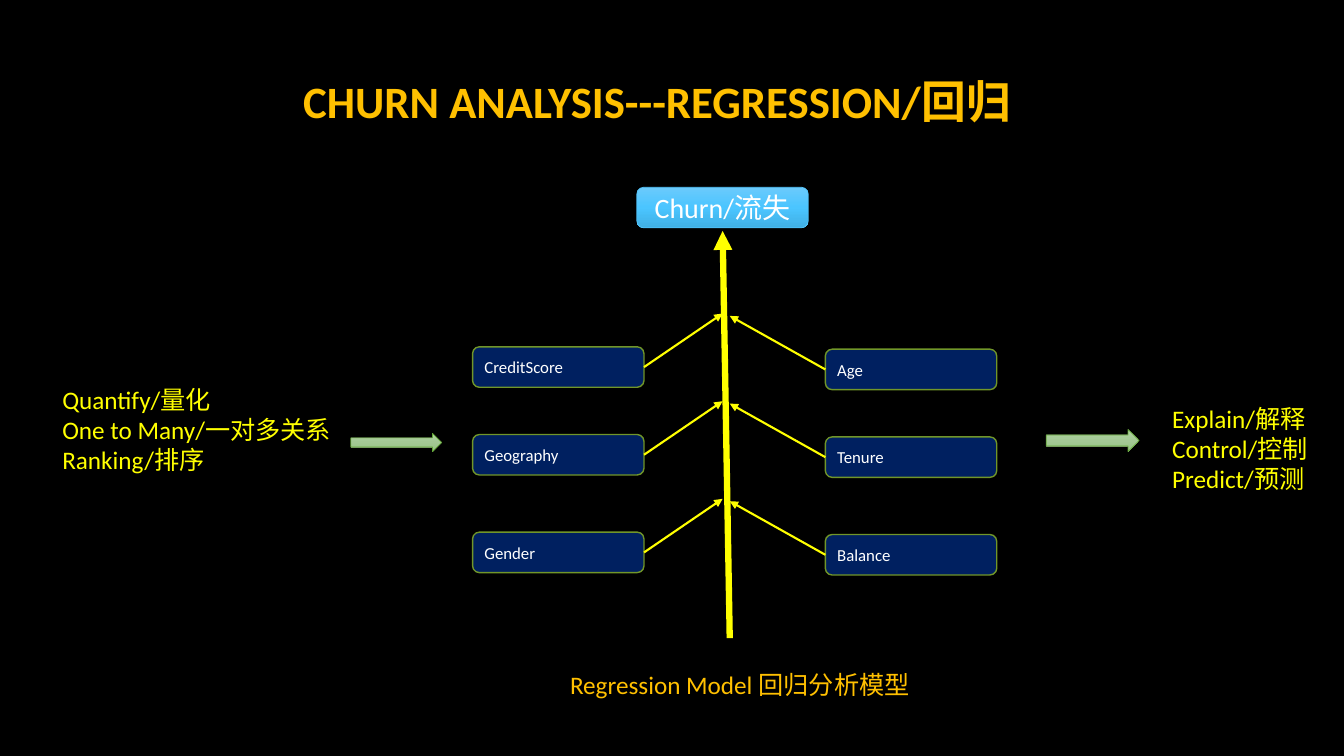
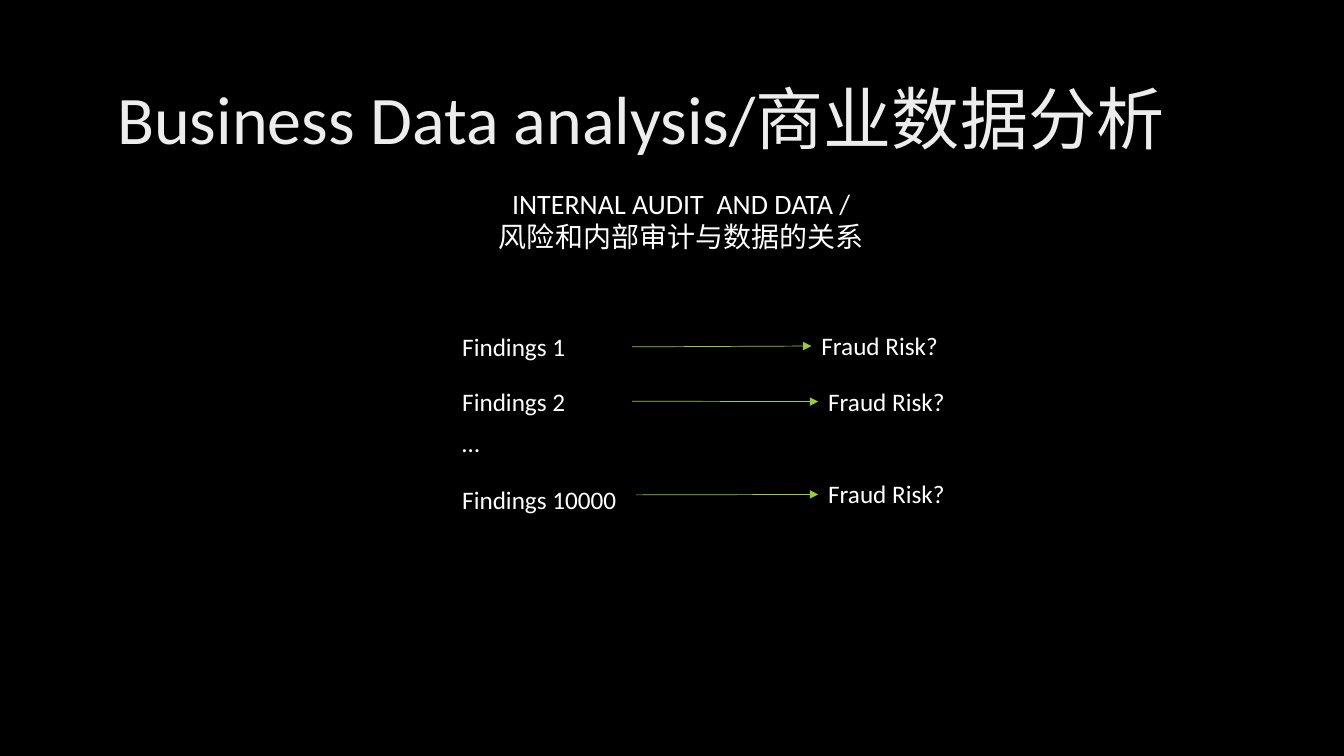
from copy import deepcopy

from lxml.etree import SubElement
from pptx import Presentation
from pptx.dml.color import RGBColor
from pptx.enum.shapes import MSO_CONNECTOR as CONN, MSO_SHAPE as SHAPE
from pptx.enum.text import MSO_ANCHOR as ANCHOR, MSO_AUTO_SIZE as FIT, PP_ALIGN as ALIGN
from pptx.oxml.ns import qn
from pptx.util import Cm, Pt

FONT = "Calibri"
BLACK = RGBColor(0x00, 0x00, 0x00)
WHITE = RGBColor(0xFF, 0xFF, 0xFF)
SILVER = RGBColor(0xED, 0xED, 0xED)
AMBER = RGBColor(0xFF, 0xC0, 0x00)
YELLOW = RGBColor(0xFF, 0xFF, 0x00)
NAVY = RGBColor(0x00, 0x20, 0x60)
OLIVE = RGBColor(0x71, 0x96, 0x29)
LIME = RGBColor(0x99, 0xCB, 0x38)
SKY = RGBColor(0x51, 0xC3, 0xF9)
LEAF = RGBColor(0x63, 0xA5, 0x37)
SKY_FADE = [RGBColor(0x6B, 0xCA, 0xFC), RGBColor(0x4B, 0xC5, 0xFF), RGBColor(0x40, 0xB0, 0xE5)]
LEAF_FADE = [RGBColor(0xB0, 0xD3, 0xA2), RGBColor(0xA4, 0xC9, 0x95), RGBColor(0x95, 0xC4, 0x82)]

BOX_W, BOX_H = 4.32, 1.02
FINDING_W, FINDING_H = 4.52, 1.02


def write(sp, lines, size, color, align=ALIGN.LEFT, anchor=ANCHOR.MIDDLE, bold=False):
    tf = sp.text_frame
    tf.word_wrap = True
    tf.auto_size = FIT.NONE
    tf.vertical_anchor = anchor
    tf.text = "\n".join(lines)
    for p in tf.paragraphs:
        p.alignment = align
        for r in p.runs:
            r.font.name = FONT
            r.font.size = Pt(size)
            r.font.bold = bold
            r.font.color.rgb = color


def add_title_slide(prs, text, box, size, color, bold=False):
    slide = prs.slides.add_slide(prs.slide_layouts[5])
    title = slide.shapes.title
    title.left, title.top, title.width, title.height = map(Cm, box)
    write(title, [text], size, color, ALIGN.CENTER, bold=bold)
    return slide


def add_text(slide, box, lines, size, color, align=ALIGN.LEFT, anchor=ANCHOR.TOP):
    sp = slide.shapes.add_textbox(*map(Cm, box))
    write(sp, lines, size, color, align, anchor)


def fade(sp, colors):
    fill = sp.fill
    fill.gradient()
    fill.gradient_angle = 270
    stops = sp._element.spPr.find(qn("a:gradFill")).find(qn("a:gsLst"))
    stops.insert(1, deepcopy(stops[0]))
    for i, (stop, color) in enumerate(zip(fill.gradient_stops, colors)):
        stop.position = i / 2
        stop.color.rgb = color


def add_shape(slide, kind, box, line, width):
    sp = slide.shapes.add_shape(kind, *map(Cm, box))
    sp.shadow.inherit = False
    sp.line.color.rgb = line
    sp.line.width = Pt(width)
    return sp


def add_factor(slide, left, top, text):
    sp = add_shape(slide, SHAPE.ROUNDED_RECTANGLE, (left, top, BOX_W, BOX_H), OLIVE, 1)
    sp.fill.solid()
    sp.fill.fore_color.rgb = NAVY
    write(sp, [text], 12, WHITE)


def add_arrow(slide, start, end, color, width):
    line = slide.shapes.add_connector(CONN.STRAIGHT, *map(Cm, (*start, *end)))
    line.line.color.rgb = color
    line.line.width = Pt(width)
    SubElement(line.line._get_or_add_ln(), qn("a:tailEnd"), type="triangle")
    SubElement(line._element.spPr, qn("a:effectLst"))


def build_regression(prs):
    slide = add_title_slide(prs, "CHURN ANALYSIS---REGRESSION/回归",
                            (7.04, 1.54, 19.05, 2), 32, AMBER, bold=True)
    add_text(slide, (12.17, 16.74, 12.95, 1.02), ["Regression Model 回归分析模型"],
             18, AMBER, ALIGN.CENTER)

    spine_top, spine_foot = 18.21, 18.39
    add_arrow(slide, (spine_foot, 16.08), (spine_top, 5.82), YELLOW, 4.5)
    left, right = 11.91, 20.8
    rows = [(8.74, "CreditScore", "Age"), (10.95, "Geography", "Tenure"),
            (13.41, "Gender", "Balance")]
    for top, left_name, right_name in rows:
        sides = [(left, top, left_name, left + BOX_W, spine_top),
                 (right, top + 0.06, right_name, right, spine_foot)]
        for x, y, name, edge, spine in sides:
            middle = y + BOX_H / 2
            add_factor(slide, x, y, name)
            add_arrow(slide, (edge, middle), (spine, middle - 1.35), YELLOW, 1.5)

    churn = add_shape(slide, SHAPE.ROUNDED_RECTANGLE, (16.05, 4.72, BOX_W, BOX_H), SKY, 0.5)
    fade(churn, SKY_FADE)
    write(churn, ["Churn/流失"], 20, WHITE, ALIGN.CENTER)

    add_text(slide, (1.32, 9.55, 7.82, 2.57),
             ["Quantify/量化", "One to Many/一对多关系", "Ranking/排序"], 18, YELLOW)
    add_text(slide, (29.29, 10.03, 4.5, 2.57),
             ["Explain/解释", "Control/控制", "Predict/预测"], 18, YELLOW)
    for box in [(8.84, 10.92, 2.29, 0.46), (26.37, 10.82, 2.34, 0.56)]:
        fade(add_shape(slide, SHAPE.RIGHT_ARROW, box, LEAF, 0.5), LEAF_FADE)


def build_audit(prs):
    slide = add_title_slide(prs, "Business Data analysis/商业数据分析",
                            (1.5, 1.45, 29.29, 3), 48.6, SILVER)
    add_text(slide, (3.1, 4.72, 28.14, 1.63),
             ["INTERNAL AUDIT  AND DATA /", "风险和内部审计与数据的关系"],
             20, WHITE, ALIGN.CENTER, ANCHOR.MIDDLE)

    findings = [("Findings 1", 8.23), ("Findings 2", 9.6), ("…", 10.64),
                ("Findings 10000", 12.09)]
    for text, top in findings:
        add_text(slide, (11.4, top, FINDING_W, FINDING_H), [text], 18, WHITE)

    risks = [(20.45, 8.2, 15.93, 8.74), (20.62, 9.6, 15.93, 10.11),
             (20.62, 11.94, 16.03, 12.47)]
    for left, top, start_x, start_y in risks:
        add_text(slide, (left, top, FINDING_W, FINDING_H), ["Fraud Risk?"], 18, WHITE)
        add_arrow(slide, (start_x, start_y), (left, top + 0.52), LIME, 0.5)


def main():
    prs = Presentation()
    prs.slide_width, prs.slide_height = Cm(33.87), Cm(19.05)
    background = prs.slide_master.background.fill
    background.solid()
    background.fore_color.rgb = BLACK
    build_regression(prs)
    build_audit(prs)
    prs.save("out.pptx")


if __name__ == "__main__":
    main()
